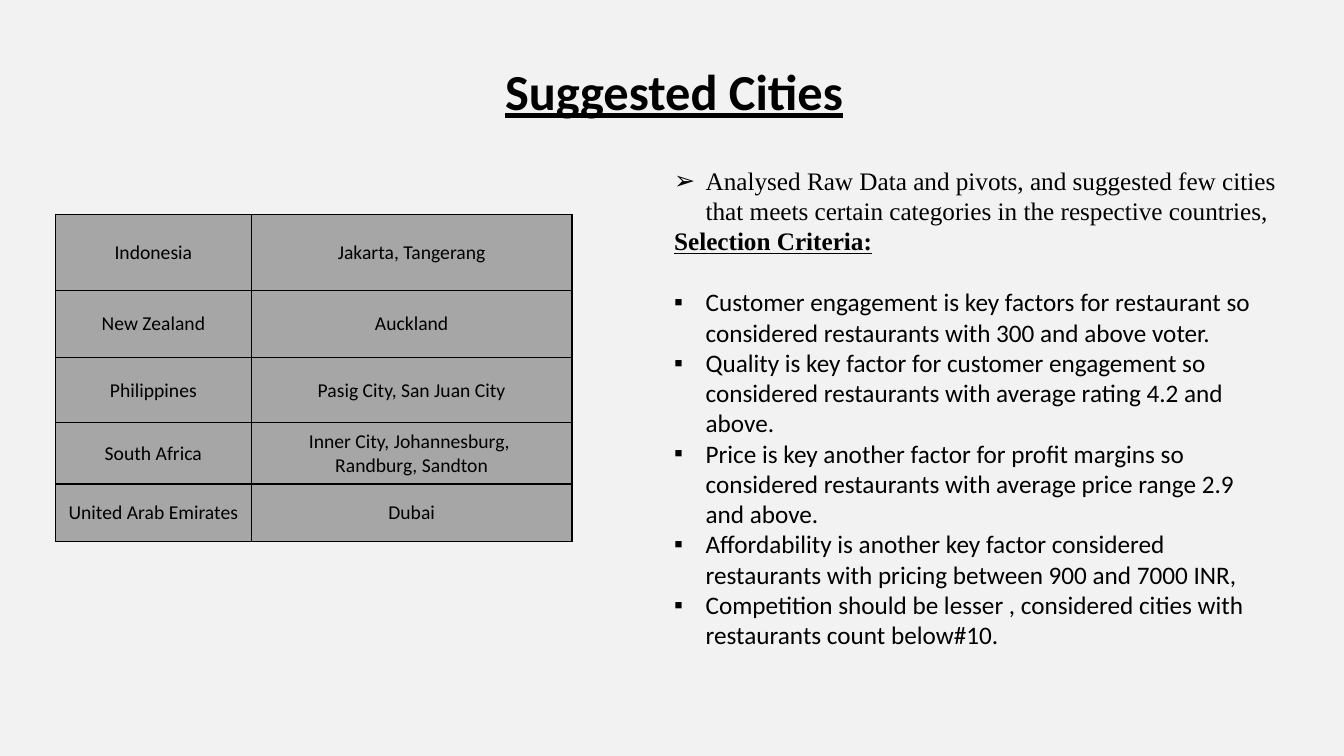
from lxml.etree import SubElement
from pptx import Presentation
from pptx.dml.color import RGBColor
from pptx.enum.text import MSO_ANCHOR, MSO_AUTO_SIZE, PP_ALIGN
from pptx.oxml.ns import qn
from pptx.util import Pt

# Content
TITLE = "Suggested Cities"
CITIES = [
    ("Indonesia", ["Jakarta, Tangerang"]),
    ("New Zealand", ["Auckland"]),
    ("Philippines", ["Pasig City, San Juan City"]),
    ("South Africa", ["Inner City, Johannesburg, ", "Randburg, Sandton"]),
    ("United Arab Emirates", ["Dubai"]),
]
INTRO = ("Analysed Raw Data and pivots, and suggested few cities that meets "
         "certain categories in the respective countries,")
HEADING = "Selection Criteria:"
CRITERIA = [
    "Customer engagement is key factors for restaurant so considered "
    "restaurants with 300 and above voter.",
    "Quality is key factor for customer engagement so considered "
    "restaurants with average rating 4.2 and above.",
    "Price is key another factor for profit margins so considered "
    "restaurants with average price range 2.9 and above.",
    "Affordability is another key factor considered restaurants with "
    "pricing between 900 and 7000 INR,",
    "Competition should be lesser , considered cities with restaurants "
    "count below#10.",
]

# Layout in points
TITLE_BOX = (240, 39.6, 480, 51)
TABLE_CORNER = (39.6, 153.2)
COLUMN_WIDTHS = (140, 229)
ROW_HEIGHTS = (54, 48, 46.5, 44, 41)
CRITERIA_BOX = (474.5, 114.5, 445.5, 356.5)
HANGING_INDENT = 22.5
BLACK, GREY, PALE = "000000", "A6A6A6", "F2F2F2"
SANS, SERIF = "Calibri", "Times New Roman"


def color(value):
    return RGBColor.from_string(value)


def add_run(paragraph, text, size, font=SANS, strong=False):
    run = paragraph.add_run()
    run.text = text
    run.font.size = Pt(size)
    run.font.name = font
    run.font.bold = run.font.underline = strong
    run.font.color.rgb = color(BLACK)


def next_paragraph(frame):
    first = frame.paragraphs[0]
    return first if not first.runs else frame.add_paragraph()


def add_bullet(paragraph, mark):
    properties = paragraph._p.get_or_add_pPr()
    properties.set("marL", str(Pt(HANGING_INDENT)))
    properties.set("indent", str(-Pt(HANGING_INDENT)))
    SubElement(properties, qn("a:buFont"), typeface="Arial")
    SubElement(properties, qn("a:buChar"), char=mark)


def add_borders(cell):
    properties = cell._tc.get_or_add_tcPr()
    for side in ("lnL", "lnR", "lnT", "lnB"):
        line = SubElement(properties, qn(f"a:{side}"), w=str(Pt(1)))
        fill = SubElement(line, qn("a:solidFill"))
        SubElement(fill, qn("a:srgbClr"), val=BLACK)


def fill_cell(cell, lines):
    add_borders(cell)
    cell.fill.solid()
    cell.fill.fore_color.rgb = color(GREY)
    cell.vertical_anchor = MSO_ANCHOR.MIDDLE
    cell.margin_left = cell.margin_right = cell.margin_top = Pt(0.7)
    cell.margin_bottom = Pt(0)
    for line in lines:
        paragraph = next_paragraph(cell.text_frame)
        paragraph.alignment = PP_ALIGN.CENTER
        add_run(paragraph, line, 14)


presentation = Presentation()
presentation.slide_width, presentation.slide_height = Pt(960), Pt(540)
slide = presentation.slides.add_slide(presentation.slide_layouts[5])
slide.background.fill.solid()
slide.background.fill.fore_color.rgb = color(PALE)

# Title
title = slide.shapes.title
title.left, title.top, title.width, title.height = map(Pt, TITLE_BOX)
title.text_frame.auto_size = MSO_AUTO_SIZE.NONE
title.text_frame.vertical_anchor = MSO_ANCHOR.TOP
title_line = title.text_frame.paragraphs[0]
title_line.alignment = PP_ALIGN.CENTER
title_line._p.get_or_add_pPr().set("marL", str(Pt(3)))
add_run(title_line, TITLE, 36, strong=True)

# Countries and their cities
cities = slide.shapes.add_table(
    len(CITIES), len(COLUMN_WIDTHS), *map(Pt, TABLE_CORNER),
    Pt(sum(COLUMN_WIDTHS)), Pt(sum(ROW_HEIGHTS))).table
for column, width in zip(cities.columns, COLUMN_WIDTHS):
    column.width = Pt(width)
for index, (country, city_lines) in enumerate(CITIES):
    cities.rows[index].height = Pt(ROW_HEIGHTS[index])
    fill_cell(cities.cell(index, 0), [country])
    fill_cell(cities.cell(index, 1), city_lines)

# Selection criteria
criteria = slide.shapes.add_textbox(*map(Pt, CRITERIA_BOX)).text_frame
criteria.word_wrap = True
intro = next_paragraph(criteria)
add_bullet(intro, "➢")
add_run(intro, INTRO, 18, SERIF)
heading = next_paragraph(criteria)
heading.space_after = Pt(22)
add_run(heading, HEADING, 18, SERIF, strong=True)
for criterion in CRITERIA:
    paragraph = next_paragraph(criteria)
    add_bullet(paragraph, "▪")
    add_run(paragraph, criterion, 18)

presentation.save("out.pptx")
